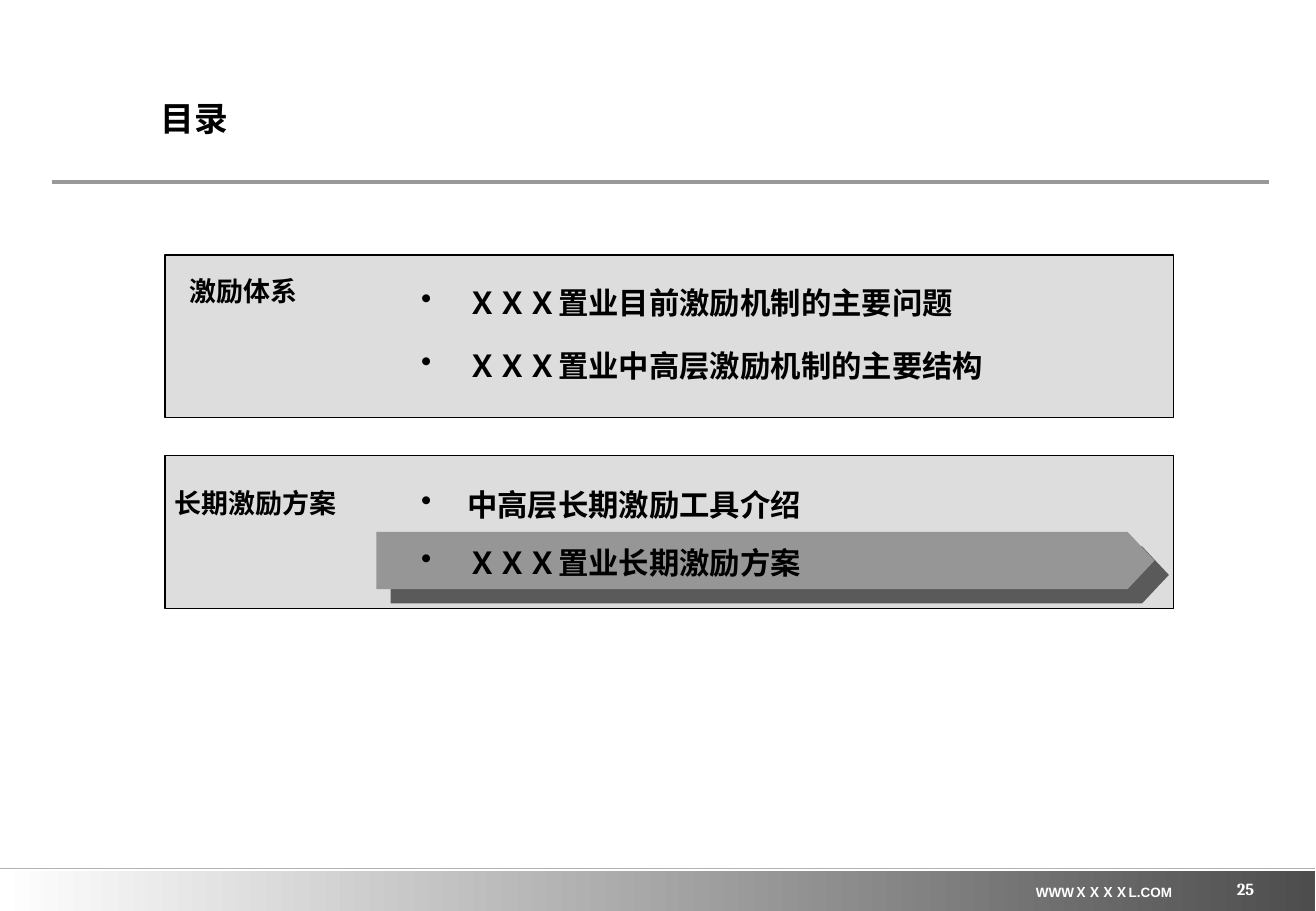
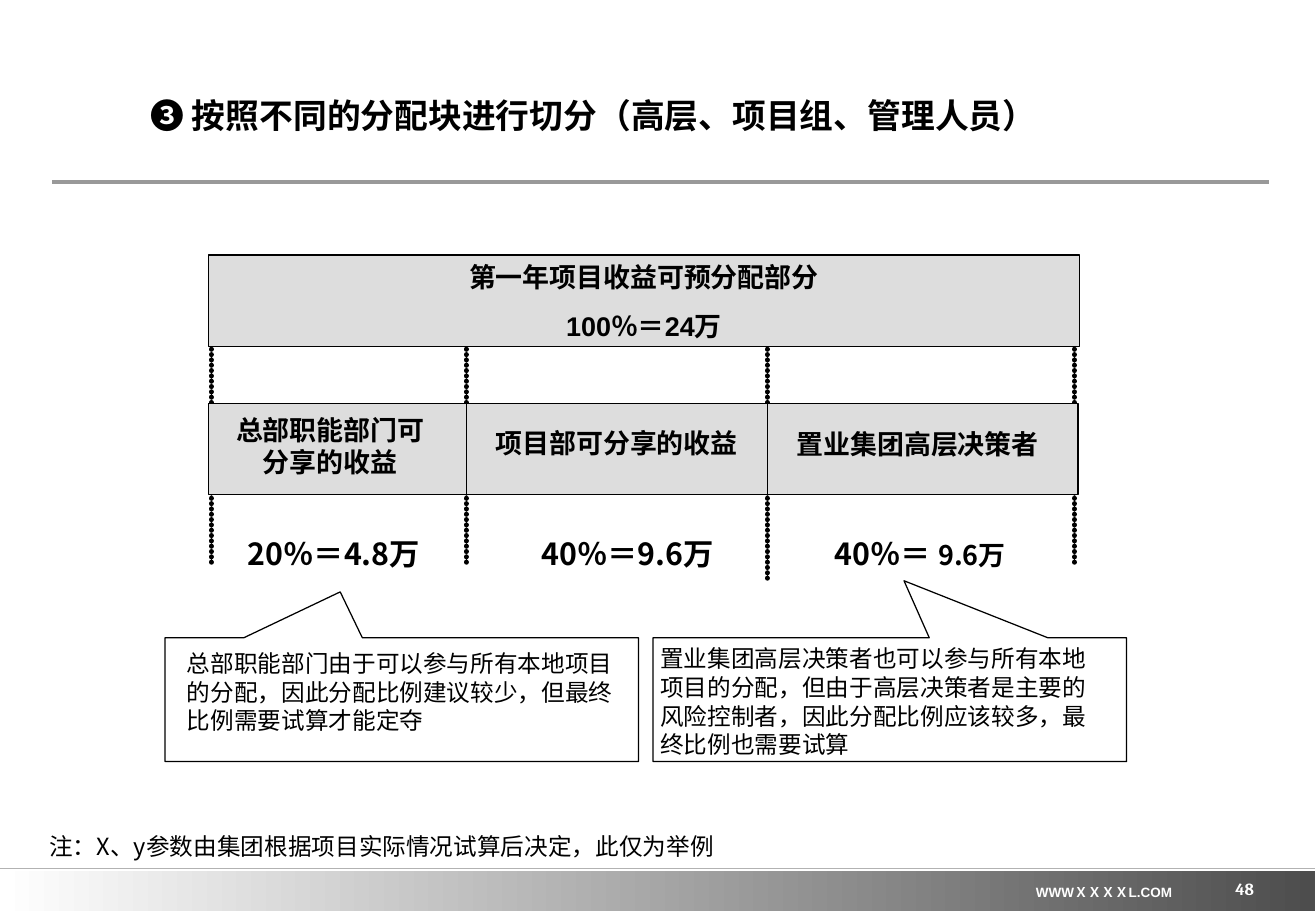
import pptx
import pptx.util
import pptx.dml.color
import pptx.enum.shapes
import pptx.enum.text
import pptx.oxml.ns
from lxml import etree

Inches, Pt = pptx.util.Inches, pptx.util.Pt
SHAPE = pptx.enum.shapes.MSO_SHAPE
ALIGN = pptx.enum.text.PP_ALIGN
ANCHOR = pptx.enum.text.MSO_ANCHOR
NOTO, ARIAL, CAMBRIA = "Noto Sans CJK SC", "Arial", "Cambria"
BLACK, WHITE, PANEL = "000000", "FFFFFF", "DDDDDD"
NONE = (0, 0, 0, 0)
PAD = (0.1, 0.05, 0.1, 0.05)


def color(code):
    return pptx.dml.color.RGBColor.from_string(code)


def child(parent, tag, **attrs):
    node = etree.SubElement(parent, pptx.oxml.ns.qn(tag))
    for key, value in attrs.items():
        node.set(key, str(value))
    return node


def style(run, size, font, bold, code):
    run.font.size = Pt(size)
    run.font.bold = bold
    run.font.color.rgb = color(code)
    run.font.name = font
    child(run._r.get_or_add_rPr(), "a:ea", typeface=NOTO)


def write(frame, lines, size, font=NOTO, bold=True, code=BLACK,
          align=ALIGN.CENTER, anchor=ANCHOR.TOP, pad=NONE,
          lead=1, gap=0, wrap=True, bullet=False):
    """Fill a frame with one paragraph per line of text."""
    frame.word_wrap = wrap
    frame.auto_size = pptx.enum.text.MSO_AUTO_SIZE.NONE
    frame.vertical_anchor = anchor
    (frame.margin_left, frame.margin_top,
     frame.margin_right, frame.margin_bottom) = map(Inches, pad)
    frame.text = "\n".join(lines)
    for i, para in enumerate(frame.paragraphs):
        para.alignment = align
        para.line_spacing = Pt(round(size * 1.2 * lead))
        para.space_before = Pt(gap if i else 0)
        if bullet:
            props = para._p.get_or_add_pPr()
            props.set("marL", str(Inches(0.38)))
            props.set("indent", str(Inches(-0.38)))
            child(props, "a:buChar", char="•")
        for run in para.runs:
            style(run, size, font, bold, code)


def label(slide, box, lines, size, **look):
    shape = slide.shapes.add_textbox(*map(Inches, box))
    write(shape.text_frame, lines, size, **look)
    return shape.text_frame


def block(slide, box, fill=PANEL, kind=SHAPE.RECTANGLE, edge=BLACK):
    shape = slide.shapes.add_shape(kind, *map(Inches, box))
    shape.shadow.inherit = False
    shape.fill.solid()
    shape.fill.fore_color.rgb = color(fill)
    if edge:
        shape.line.color.rgb = color(edge)
        shape.line.width = Pt(0.75)
    else:
        shape.line.fill.background()
    return shape


def rule(slide, start, end, code, width, dots=False):
    line = slide.shapes.add_connector(
        pptx.enum.shapes.MSO_CONNECTOR.STRAIGHT, *map(Inches, start + end))
    line.line.color.rgb = color(code)
    line.line.width = Pt(width)
    child(line._element.spPr, "a:effectLst")
    if dots:
        stroke = line.line._get_or_add_ln()
        stroke.set("cap", "rnd")
        child(child(stroke, "a:custDash"), "a:ds", d=100000, sp=5000)


def base(deck, title, box, page):
    """Add a slide with its title, rules and footer band."""
    slide = deck.slides.add_slide(deck.slide_layouts[5])
    band = block(slide, (0, 7.17, 10.83, 0.33), edge=None)
    band.fill.gradient()
    band.fill.gradient_angle = 0
    for stop, place, code in zip(band.fill.gradient_stops, (0, 1), (WHITE, "4D4D4D")):
        stop.position = place
        stop.color.rgb = color(code)
    rule(slide, (0.43, 1.5), (10.45, 1.5), "999999", 2.5)
    rule(slide, (0, 7.15), (10.83, 7.15), "B2B2B2", 1)
    label(slide, (8.41, 7.22, 1.37, 0.24), ["WWWＸＸＸＸL.COM"], 8,
          font=ARIAL, code=WHITE, pad=PAD, wrap=False)
    label(slide, (8.07, 7.07, 2.26, 0.33), [page], 10, font=CAMBRIA,
          code=WHITE, align=ALIGN.RIGHT, anchor=ANCHOR.BOTTOM)
    head = slide.shapes.title
    head.left, head.top, head.width, head.height = map(Inches, box)
    write(head.text_frame, [title], 20, align=ALIGN.LEFT, anchor=ANCHOR.MIDDLE)
    return slide


def arrow(slide, box):
    shape = block(slide, box, "969696", SHAPE.PENTAGON, None)
    shape.adjustments[0] = 0.47
    effects = shape._element.spPr.find(pptx.oxml.ns.qn("a:effectLst"))
    shade = child(effects, "a:outerShdw", blurRad=0, dist=Pt(12.1),
                  dir=45 * 60000, algn="ctr", rotWithShape=0)
    child(shade, "a:srgbClr", val="5A5A5A")


def part(slide, box, name, spot, items, drop, lead, gap, mark=None):
    """Draw one panel of the contents; spot and drop count from its corner."""
    left, top, width, height = box
    block(slide, box)
    if mark:
        arrow(slide, (left + 1.74, top + mark, 6.41, 0.47))
    label(slide, (left + spot[0], top + spot[1], spot[2], 0.32), [name], 16,
          lead=1.2, wrap=False)
    label(slide, (left + 2.01, top + drop, 6.2, height - drop), items, 18,
          font=CAMBRIA, align=ALIGN.LEFT, pad=PAD, lead=lead, gap=gap, bullet=True)


def agenda(deck):
    slide = base(deck, "目录", (1.32, 0.72, 2.71, 0.5), "25")
    part(slide, (1.36, 2.1, 8.31, 1.34), "激励体系", (0.2, 0.11, 0.89),
         ["ＸＸＸ置业目前激励机制的主要问题", "ＸＸＸ置业中高层激励机制的主要结构"],
         0.28, 0.7, 22.5)
    part(slide, (1.36, 3.75, 8.31, 1.26), "长期激励方案", (0.08, 0.2, 1.33),
         ["中高层长期激励工具介绍", "ＸＸＸ置业长期激励方案"],
         0.2, 1, 12.4, mark=0.63)


def tree(slide, left, top):
    """Draw the total, its three shares and the dotted guides."""
    edges = [left, left + 2.12, left + 4.6, left + 7.16]
    guides = zip((left + 0.02, edges[1], edges[2], left + 7.13),
                 (4.66, 4.66, 4.77, 4.66))
    for x, end in guides:
        rule(slide, (x, top + 0.6), (x, end), BLACK, 3, dots=True)
    total = block(slide, (left, top, 7.17, 0.75))
    write(total.text_frame, ["第一年项目收益可预分配部分", "100％＝24万"], 16,
          font=ARIAL, pad=PAD, gap=10)
    names = ["总部职能部门可分享的收益", "项目部可分享的收益", "置业集团高层决策者"]
    pads = [(0.14, 0.09, 0.26, 0), (0.14, 0.19, 0.14, 0), (0.14, 0.2, 0.22, 0)]
    for x, end, name, pad in zip(edges, edges[1:], names, pads):
        cell = block(slide, (x, top + 1.22, end - x, 0.75))
        write(cell.text_frame, [name], 16, font=ARIAL, pad=pad)
    sums = [(0.19, 1.68, "20％＝4.8万"), (2.61, 1.68, "40％＝9.6万"), (5, 1.72, "40％＝ ")]
    for x, width, text in sums:
        frame = label(slide, (left + x, top + 2.3, width, 0.3), [text], 18, wrap=False)
    last = frame.paragraphs[0].add_run()
    last.text = "9.6万"
    style(last, 16, NOTO, True, BLACK)


def callout(slide, box, tip, pad, text):
    shape = block(slide, box, WHITE, SHAPE.RECTANGULAR_CALLOUT)
    shape.adjustments[0], shape.adjustments[1] = tip
    write(shape.text_frame, [text], 14, font=ARIAL, bold=False,
          align=ALIGN.LEFT, pad=pad)


def split(deck):
    slide = base(deck, "❸ 按照不同的分配块进行切分（高层、项目组、管理人员）",
                 (1.24, 0.58, 9.1, 0.73), "48")
    tree(slide, 1.72, 2.1)
    callout(slide, (5.38, 5.25, 3.9, 1.02), (0.03, -0.96), (0.06, 0.05, 0.22, 0),
            "置业集团高层决策者也可以参与所有本地项目的分配，但由于高层决策者是主要的"
            "风险控制者，因此分配比例应该较多，最终比例也需要试算")
    callout(slide, (1.36, 5.25, 3.9, 1.02), (-0.13, -0.87), (0.18, 0.09, 0.1, 0),
            "总部职能部门由于可以参与所有本地项目的分配，因此分配比例建议较少，"
            "但最终比例需要试算才能定夺")
    label(slide, (0.3, 6.85, 5.69, 0.23),
          ["注：X、y参数由集团根据项目实际情况试算后决定，此仅为举例"], 14,
          bold=False, wrap=False)


def main():
    deck = pptx.Presentation()
    deck.slide_width, deck.slide_height = Inches(10.84), Inches(7.5)
    agenda(deck)
    split(deck)
    deck.save("out.pptx")


if __name__ == "__main__":
    main()
